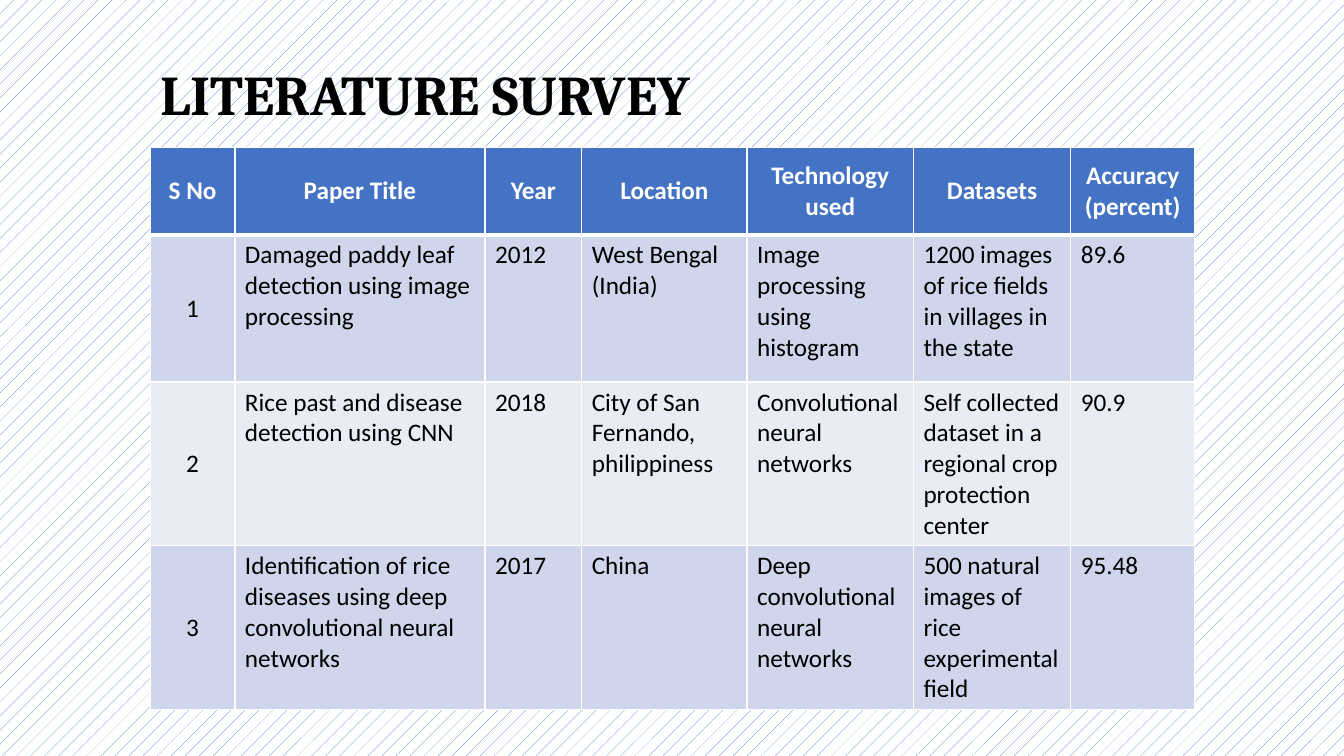
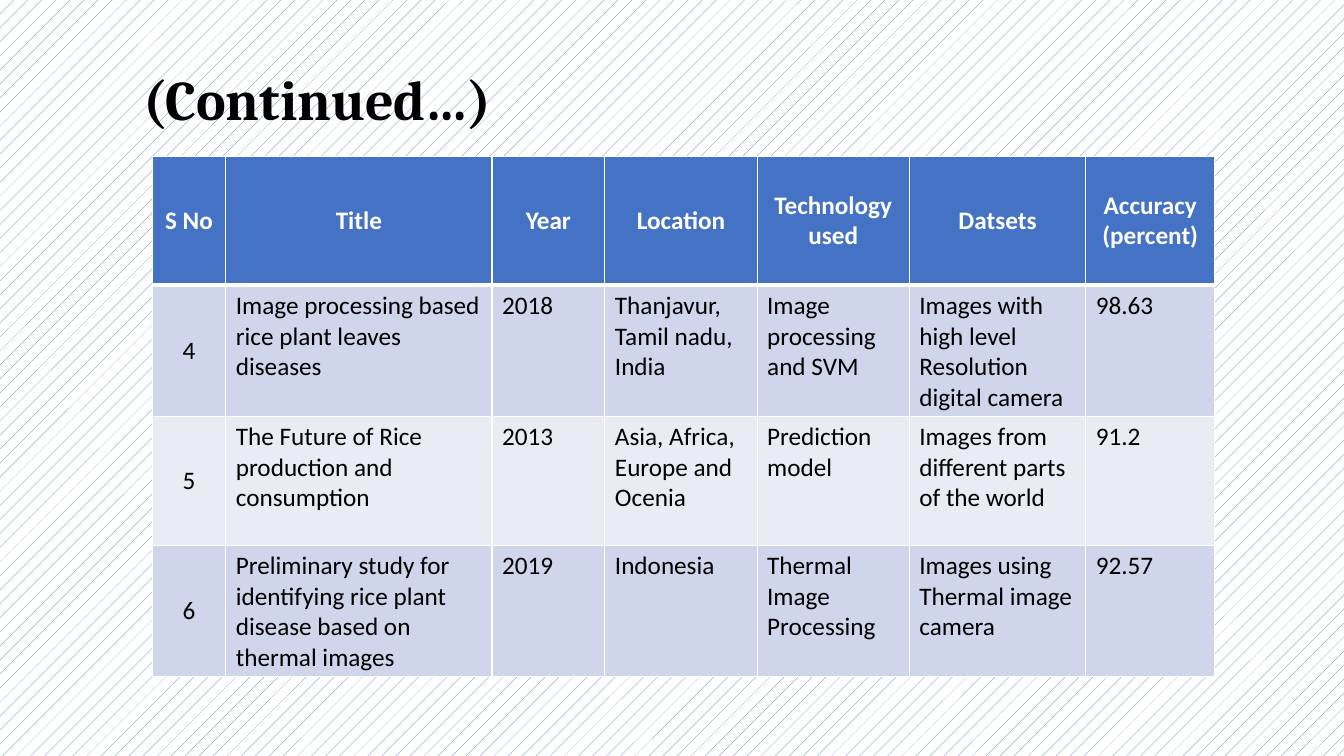
"""Build a two-slide literature survey on rice disease detection."""
import lxml.etree
import pptx
import pptx.dml.color
import pptx.enum.dml
import pptx.enum.text
import pptx.oxml.ns
import pptx.util

Inches, Pt = pptx.util.Inches, pptx.util.Pt
RGBColor = pptx.dml.color.RGBColor
qn = pptx.oxml.ns.qn

BLUE = RGBColor(0x44, 0x72, 0xC4)
BAND_DARK = RGBColor(0xCF, 0xD5, 0xEA)
BAND_LIGHT = RGBColor(0xE9, 0xEB, 0xF5)
WHITE = RGBColor(0xFF, 0xFF, 0xFF)
BLACK = RGBColor(0, 0, 0)

SURVEYS = [
    {
        "title": "LITERATURE SURVEY",
        "title_box": (1.49, 0.54, 6.13, 0.77),
        "table_corner": (1.49, 1.46),
        "columns": [0.84, 2.48, 0.96, 1.64, 1.65, 1.56, 1.23],
        "row_heights": [0.87, 1.46, 1.46, 1.46],
        "rows": [
            ("S No", "Paper Title", "Year", "Location", "Technology used",
             "Datasets", "Accuracy (percent)"),
            ("1", "Damaged paddy leaf detection using image processing", "2012",
             "West Bengal\n(India)", "Image processing using histogram",
             "1200 images of rice fields in villages in the state", "89.6"),
            ("2", "Rice past and disease detection using CNN", "2018",
             "City of San Fernando, philippiness", "Convolutional neural networks",
             "Self collected dataset in a regional crop protection center", "90.9"),
            ("3", "Identification of rice diseases using deep convolutional neural networks",
             "2017", "China", "Deep convolutional neural networks",
             "500 natural images of rice experimental field", "95.48"),
        ],
    },
    {
        "title": "(Continued…)",
        "title_box": (1.32, 0.59, 3.68, 0.77),
        "table_corner": (1.51, 1.55),
        "columns": [0.73, 2.64, 1.12, 1.51, 1.51, 1.75, 1.28],
        "row_heights": [1.28] * 4,
        "rows": [
            ("S No", "Title", "Year", "Location", "Technology used",
             "Datsets", "Accuracy (percent)"),
            ("4", "Image processing based rice plant leaves diseases", "2018",
             "Thanjavur,\nTamil nadu,\nIndia", "Image processing and SVM",
             "Images with high level Resolution digital camera", "98.63"),
            ("5", "The Future of Rice production and consumption", "2013",
             "Asia, Africa,\nEurope and Ocenia", "Prediction model",
             "Images from different parts of the world", "91.2"),
            ("6", "Preliminary study for identifying rice plant disease based on thermal images",
             "2019", "Indonesia", "Thermal Image Processing",
             "Images using Thermal image camera", "92.57"),
        ],
    },
]


def style_font(font, name, size, color, bold):
    font.name, font.size, font.bold = name, Pt(size), bold
    font.color.rgb = color


def set_borders(cell, top, bottom):
    properties = cell._tc.get_or_add_tcPr()
    widths = {"a:lnL": 1, "a:lnR": 1, "a:lnT": top, "a:lnB": bottom}
    for position, (side, width) in enumerate(widths.items()):
        line = lxml.etree.Element(qn(side), w=str(Pt(width)))
        fill = lxml.etree.SubElement(line, qn("a:solidFill"))
        lxml.etree.SubElement(fill, qn("a:srgbClr"), val=str(WHITE))
        properties.insert(position, line)


def add_title(page, text, place):
    box = page.shapes.add_textbox(*map(Inches, place))
    box.text_frame.word_wrap = True
    box.text_frame.text = text
    style_font(box.text_frame.paragraphs[0].font, "Cambria", 40, BLACK, True)


def fill_cell(cell, text, row, column):
    header = row == 0
    centred = header or column == 0
    cell.text = text
    cell.fill.solid()
    cell.fill.fore_color.rgb = BLUE if header else BAND_DARK if row % 2 else BAND_LIGHT
    set_borders(cell, top=3 if row == 1 else 1, bottom=3 if header else 1)
    if centred:
        cell.vertical_anchor = pptx.enum.text.MSO_ANCHOR.MIDDLE
    for para in cell.text_frame.paragraphs:
        style_font(para.font, "Calibri", 18, WHITE if header else BLACK, header)
        if centred:
            para.alignment = pptx.enum.text.PP_ALIGN.CENTER


def add_survey_table(page, survey):
    rows, columns, heights = survey["rows"], survey["columns"], survey["row_heights"]
    size = (sum(columns), sum(heights))
    table = page.shapes.add_table(
        len(rows), len(columns), *map(Inches, survey["table_corner"] + size)).table
    for column, width in zip(table.columns, columns):
        column.width = Inches(width)
    for row, height in zip(table.rows, heights):
        row.height = Inches(height)
    for row, texts in enumerate(rows):
        for column, text in enumerate(texts):
            fill_cell(table.cell(row, column), text, row, column)


def main():
    deck = pptx.Presentation()
    deck.slide_width, deck.slide_height = Inches(13.33), Inches(7.5)
    backdrop = deck.slide_master.background.fill
    backdrop.patterned()
    backdrop.pattern = pptx.enum.dml.MSO_PATTERN.PERCENT_5
    backdrop.fore_color.rgb, backdrop.back_color.rgb = BLUE, WHITE
    for survey in SURVEYS:
        page = deck.slides.add_slide(deck.slide_layouts[6])
        add_survey_table(page, survey)
        add_title(page, survey["title"], survey["title_box"])
    deck.save("out.pptx")


if __name__ == "__main__":
    main()
